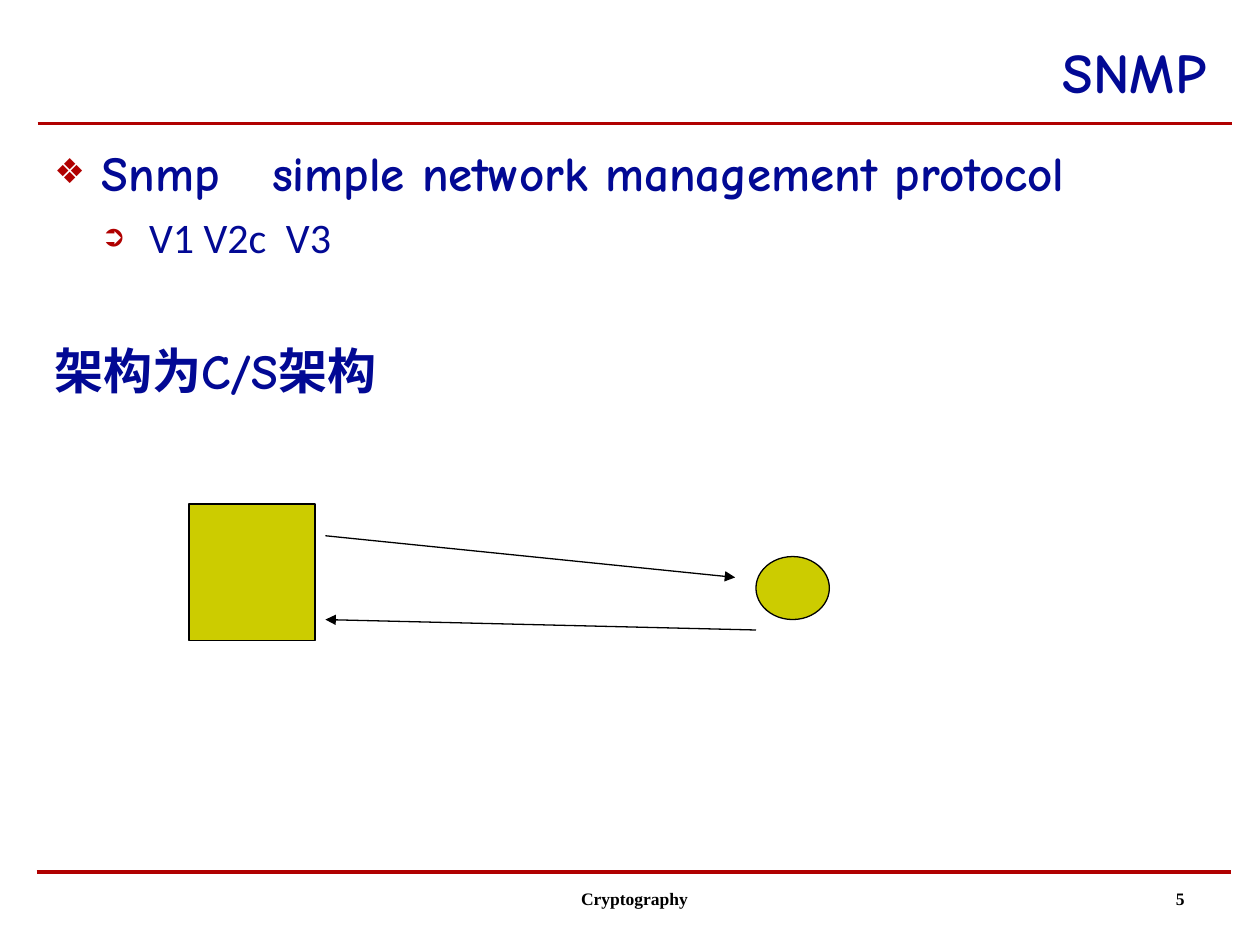
"""Build the SNMP slide with its client and server diagram."""
from lxml import etree
from pptx import Presentation
from pptx.dml.color import RGBColor
from pptx.enum import shapes, text
from pptx.oxml import ns
from pptx.util import Cm, Pt

NAVY = RGBColor(0x02, 0x09, 0x94)
RED = RGBColor(0xB0, 0x00, 0x00)
OLIVE = RGBColor(0xCC, 0xCC, 0x00)
BLACK = RGBColor(0, 0, 0)

TITLE = "SNMP"
BODY = [
    dict(words="Snmp\tsimple network management protocol", bullet="❖", margin=0.96,
         tab=4.39, font="Comic Neue", size=28, bold=True, before=0, level=0),
    dict(words="V1 V2c\tV3", bullet="➲", margin=1.91,
         tab=4.67, font="Calibri", size=24, bold=False, before=6, level=1),
    dict(words="架构为C/S架构", bullet=None, margin=0.96,
         tab=None, font="Comic Neue", size=28, bold=True, before=45, level=0),
]
HANGING = 0.96
RULES = [(0.76, 2.49, 24.84, 2.49), (0.74, 17.58, 24.82, 17.58)]
NODES = [
    (shapes.MSO_SHAPE.RECTANGLE, 3.81, 10.16, 2.54, 2.75),
    (shapes.MSO_SHAPE.OVAL, 15.24, 11.22, 1.48, 1.27),
]
ARROWS = [(6.56, 10.8, 14.82, 11.64), (15.24, 12.7, 6.56, 12.49)]
FOOTERS = [
    ("Cryptography", 9.07, 17.78, 7.44, 1.27, text.PP_ALIGN.CENTER),
    ("5", 18.2, 17.78, 5.93, 1.17, text.PP_ALIGN.RIGHT),
]


def add_child(parent, tag, **attributes):
    return etree.SubElement(parent, ns.qn(tag), attributes)


def place(box, *lengths):
    box.left, box.top, box.width, box.height = map(Cm, lengths)


def style(para, font, size, color, bold=True):
    para.font.name, para.font.size = font, Pt(size)
    para.font.color.rgb, para.font.bold = color, bold


def set_layout(para, item):
    props = para._p.get_or_add_pPr()
    props.set("marL", str(Cm(item["margin"])))
    props.set("indent", str(-Cm(HANGING)))
    if item["bullet"]:
        add_child(add_child(props, "a:buClr"), "a:srgbClr", val=str(RED))
        add_child(props, "a:buSzPct", val="70000")
        add_child(props, "a:buChar", char=item["bullet"])
    else:
        add_child(props, "a:buNone")
    if item["tab"]:
        tabs = add_child(props, "a:tabLst")
        add_child(tabs, "a:tab", pos=str(Cm(item["tab"])), algn="l")


def add_line(page, ends, color, width, arrow=False):
    line = page.shapes.add_connector(shapes.MSO_CONNECTOR.STRAIGHT, *map(Cm, ends))
    line.line.color.rgb, line.line.width = color, Pt(width)
    if arrow:
        add_child(line.line._get_or_add_ln(), "a:tailEnd", type="triangle")
    add_child(line._element.spPr, "a:effectLst")


def fill_title(box):
    place(box, 6.99, 0.64, 17.58, 1.6)
    frame = box.text_frame
    frame.text = TITLE
    frame.auto_size = text.MSO_AUTO_SIZE.NONE
    frame.vertical_anchor = text.MSO_ANCHOR.BOTTOM
    para = frame.paragraphs[0]
    para.alignment = text.PP_ALIGN.RIGHT
    style(para, "Comic Neue", 32, NAVY)


def fill_body(box):
    place(box, 0.84, 2.74, 23.93, 14.61)
    frame = box.text_frame
    frame.text = "\n".join(item["words"] for item in BODY)
    frame.auto_size = text.MSO_AUTO_SIZE.NONE
    for para, item in zip(frame.paragraphs, BODY):
        para.level = item["level"]
        set_layout(para, item)
        para.space_before = Pt(item["before"])
        style(para, item["font"], item["size"], NAVY, item["bold"])


def main():
    deck = Presentation()
    deck.slide_width, deck.slide_height = Cm(25.4), Cm(19.05)
    page = deck.slides.add_slide(deck.slide_layouts[1])
    for ends in RULES:
        add_line(page, ends, RED, 2)
    fill_title(page.shapes.title)
    fill_body(page.placeholders[1])
    for kind, *lengths in NODES:
        node = page.shapes.add_shape(kind, *map(Cm, lengths))
        node.shadow.inherit = False
        node.fill.solid()
        node.fill.fore_color.rgb = OLIVE
        node.line.color.rgb, node.line.width = BLACK, Pt(0.75)
    for ends in ARROWS:
        add_line(page, ends, BLACK, 0.75, arrow=True)
    for words, *lengths, alignment in FOOTERS:
        frame = page.shapes.add_textbox(*map(Cm, lengths)).text_frame
        frame.word_wrap = True
        frame.text = words
        para = frame.paragraphs[0]
        para.alignment = alignment
        style(para, "Times New Roman", 10, BLACK)
    deck.save("out.pptx")


if __name__ == "__main__":
    main()
